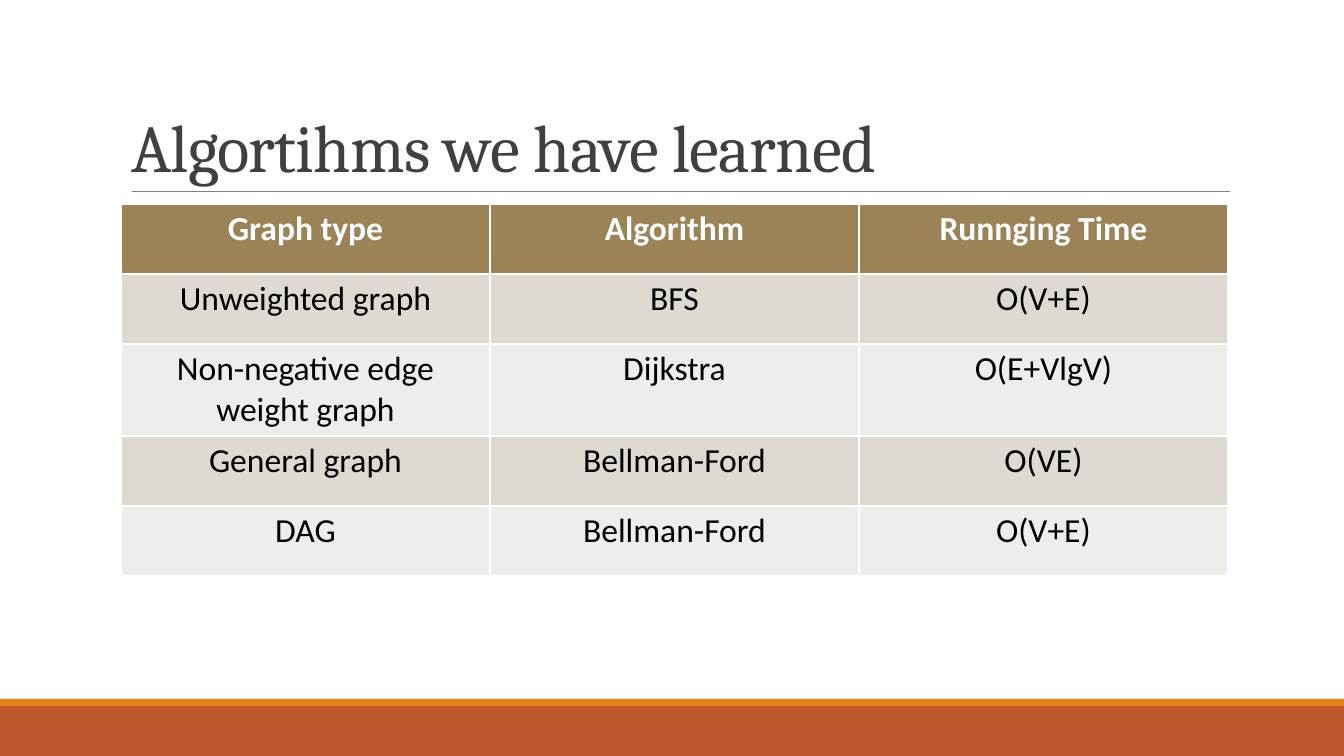
from pptx import Presentation
from pptx.dml.color import RGBColor
from pptx.enum.shapes import MSO_CONNECTOR, MSO_SHAPE
from pptx.enum.text import MSO_ANCHOR, MSO_AUTO_SIZE, PP_ALIGN
from pptx.oxml.ns import qn
from pptx.util import Emu, Pt
from lxml.etree import SubElement

WHITE = RGBColor(0xFF, 0xFF, 0xFF)
BLACK = RGBColor(0x00, 0x00, 0x00)
GRAY = RGBColor(0x80, 0x80, 0x80)
DARK = RGBColor(0x40, 0x40, 0x40)
RUST = RGBColor(0xBD, 0x58, 0x2C)
ORANGE = RGBColor(0xE4, 0x83, 0x12)
BROWN = RGBColor(0x9B, 0x83, 0x57)
SAND = RGBColor(0xDE, 0xD9, 0xD1)
PALE = RGBColor(0xEF, 0xED, 0xEA)

ROWS = [
    ("Graph type", "Algorithm", "Runnging Time"),
    ("Unweighted graph", "BFS", "O(V+E)"),
    ("Non-negative edge weight graph", "Dijkstra", "O(E+VlgV)"),
    ("General graph", "Bellman-Ford", "O(VE)"),
    ("DAG", "Bellman-Ford", "O(V+E)"),
]
LEFT, COL, ROW = 121, 369, 70


def px(count):
    return Emu(round(count * 12192000 / 1344))


def style(run, font, size, color, bold=False):
    run.font.name = font
    run.font.size = Pt(size)
    run.font.color.rgb = color
    run.font.bold = bold


deck = Presentation()
deck.slide_width, deck.slide_height = px(1344), px(756)
slide = deck.slides.add_slide(deck.slide_layouts[5])
shapes = slide.shapes

# Footer bands
for top, height, color in ((706, 50, RUST), (699, 7, ORANGE)):
    band = shapes.add_shape(MSO_SHAPE.RECTANGLE, 0, px(top), px(1344), px(height))
    band.shadow.inherit = False
    band.fill.solid()
    band.fill.fore_color.rgb = color
    band.line.fill.background()

# Title and its rule
rule = shapes.add_connector(MSO_CONNECTOR.STRAIGHT, px(132), px(191), px(1230), px(191))
rule.line.color.rgb = GRAY
rule.line.width = Pt(0.5)
SubElement(rule._element.spPr, qn("a:effectLst"))

title = shapes.title
title.left, title.top, title.width, title.height = px(LEFT), px(31), px(1109), px(160)
frame = title.text_frame
frame.text = "Algortihms we have learned"
frame.word_wrap = True
frame.auto_size = MSO_AUTO_SIZE.NONE
frame.vertical_anchor = MSO_ANCHOR.BOTTOM
para = frame.paragraphs[0]
para.alignment = PP_ALIGN.LEFT
para.line_spacing = 0.85
style(para.runs[0], "Cambria", 48, DARK)
para.runs[0].font._element.set("spc", "-50")

# Table: the default style supplies the white borders
table = shapes.add_table(
    len(ROWS), 3, px(LEFT), px(204), px(3 * COL), px(len(ROWS) * ROW)
).table
for column in table.columns:
    column.width = px(COL)
for r, texts in enumerate(ROWS):
    table.rows[r].height = px(ROW)
    head = r == 0
    fill = BROWN if head else SAND if r % 2 else PALE
    for c, text in enumerate(texts):
        cell = table.cell(r, c)
        cell.fill.solid()
        cell.fill.fore_color.rgb = fill
        para = cell.text_frame.paragraphs[0]
        para.text = text
        para.alignment = PP_ALIGN.CENTER
        style(para.runs[0], "Calibri", 24, WHITE if head else BLACK, head)

deck.save("out.pptx")
